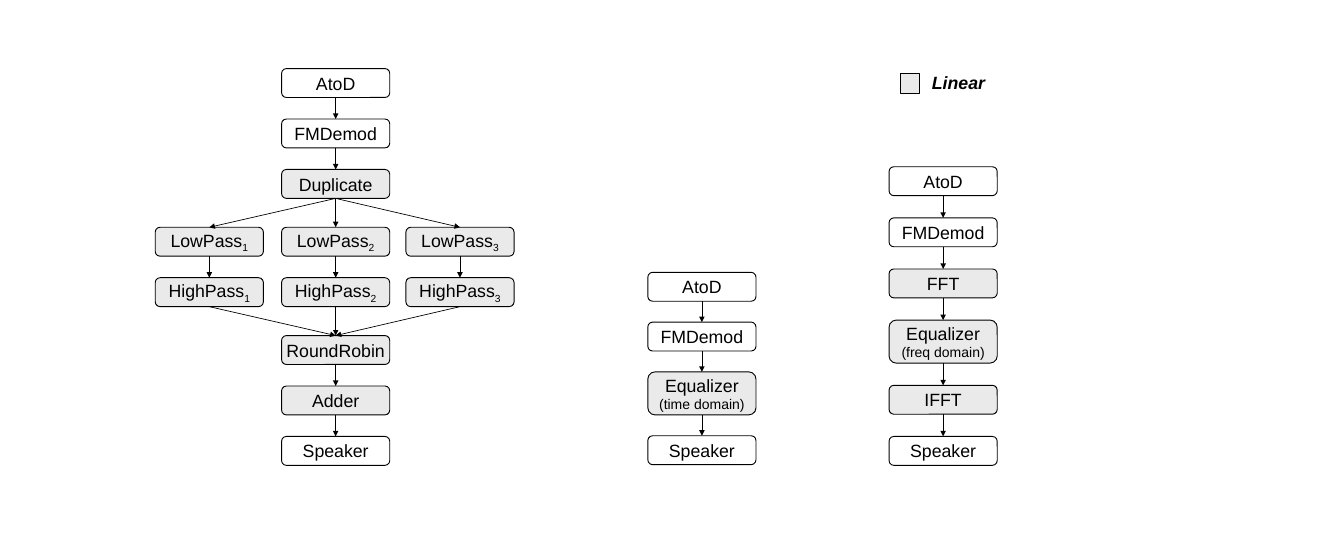
from dataclasses import dataclass
from itertools import pairwise

from lxml.etree import SubElement
from pptx import Presentation
from pptx.dml.color import RGBColor
from pptx.enum.shapes import MSO_CONNECTOR, MSO_SHAPE
from pptx.enum.text import MSO_ANCHOR, PP_ALIGN
from pptx.oxml.ns import qn
from pptx.shapes.autoshape import Shape
from pptx.shapes.base import BaseShape
from pptx.slide import Slide
from pptx.util import Emu, Pt

EMU_PER_PX = 9144  # 100 px to the inch
SLIDE_WIDTH, SLIDE_HEIGHT = 2000, 800
BOX_WIDTH, BOX_HEIGHT, TALL_BOX_HEIGHT = 161, 43, 64
TOP_SITE, BOTTOM_SITE = 0, 2


@dataclass(frozen=True)
class Theme:
    font: str = "Arial"
    ink: RGBColor = RGBColor(0x00, 0x00, 0x00)
    linear_fill: RGBColor = RGBColor(0xEA, 0xEA, 0xEA)
    label_size: int = 19
    note_size: int = 15
    outline: float = 1
    arrow: float = 0.75


@dataclass(frozen=True)
class Filter:
    label: str
    linear: bool = False
    subscript: str = ""
    note: str = ""

    @property
    def height(self) -> int:
        return TALL_BOX_HEIGHT if self.note else BOX_HEIGHT


@dataclass(frozen=True)
class Pipeline:
    left: int
    top: int
    gap: int
    filters: tuple[Filter, ...]


THEME = Theme()
ATOD, DEMODULATOR, SPEAKER = Filter("AtoD"), Filter("FMDemod"), Filter("Speaker")

CENTER_LEFT = 419
BRANCH_LEFTS = (231, CENTER_LEFT, 604)
FAN_GAP = 43
SPLIT = Pipeline(CENTER_LEFT, 102, 32, (ATOD, DEMODULATOR, Filter("Duplicate", True)))
BRANCHES = tuple(
    Pipeline(left, 338, 32, (Filter("LowPass", True, str(number)),
                             Filter("HighPass", True, str(number))))
    for number, left in enumerate(BRANCH_LEFTS, 1)
)
JOIN = Pipeline(CENTER_LEFT, 338 + 2 * BOX_HEIGHT + 32 + FAN_GAP, 32,
                (Filter("RoundRobin", True), Filter("Adder", True), SPEAKER))
TIME_DOMAIN = Pipeline(964, 405, 31, (
    ATOD, DEMODULATOR, Filter("Equalizer", True, note="(time domain)"), SPEAKER))
FREQUENCY_DOMAIN = Pipeline(1323, 248, 33, (
    ATOD, DEMODULATOR, Filter("FFT", True),
    Filter("Equalizer", True, note="(freq domain)"), Filter("IFFT", True), SPEAKER))


def px(length: int) -> Emu:
    return Emu(length * EMU_PER_PX)


def add_text(shape: Shape, text: str, *, size: int = THEME.label_size,
             subscript: str = "", emphasis: bool = False,
             align: PP_ALIGN = PP_ALIGN.CENTER, new_line: bool = False) -> None:
    """Write one line of text, with an optional subscript after it."""
    frame = shape.text_frame
    paragraph = frame.add_paragraph() if new_line else frame.paragraphs[0]
    paragraph.alignment = align
    for part, baseline in ((text, None), (subscript, "-25000")):
        if not part:
            continue
        run = paragraph.add_run()
        run.text = part
        run.font.name = THEME.font
        run.font.size = Pt(size)
        run.font.color.rgb = THEME.ink
        run.font.bold = run.font.italic = emphasis
        if baseline:
            run._r.get_or_add_rPr().set("baseline", baseline)


def add_box(slide: Slide, preset: MSO_SHAPE, left: int, top: int,
            width: int, height: int, linear: bool) -> Shape:
    box = slide.shapes.add_shape(preset, px(left), px(top), px(width), px(height))
    box.shadow.inherit = False
    if linear:
        box.fill.solid()
        box.fill.fore_color.rgb = THEME.linear_fill
    else:
        box.fill.background()
    box.line.color.rgb = THEME.ink
    box.line.width = Pt(THEME.outline)
    return box


def add_filter(slide: Slide, item: Filter, left: int, top: int) -> Shape:
    box = add_box(slide, MSO_SHAPE.ROUNDED_RECTANGLE, left, top,
                  BOX_WIDTH, item.height, item.linear)
    frame = box.text_frame
    frame.word_wrap = False
    frame.vertical_anchor = MSO_ANCHOR.MIDDLE
    frame.margin_left = frame.margin_right = px(11)
    frame.margin_top = frame.margin_bottom = px(5)
    add_text(box, item.label, subscript=item.subscript)
    if item.note:
        add_text(box, item.note, size=THEME.note_size, new_line=True)
    return box


def add_arrow(slide: Slide, source: BaseShape, target: BaseShape) -> None:
    arrow = slide.shapes.add_connector(MSO_CONNECTOR.STRAIGHT, 0, 0, 0, 0)
    arrow.begin_connect(source, BOTTOM_SITE)
    arrow.end_connect(target, TOP_SITE)
    arrow.line.color.rgb = THEME.ink
    arrow.line.width = Pt(THEME.arrow)
    SubElement(arrow.line._get_or_add_ln(), qn("a:tailEnd"), type="triangle")
    SubElement(arrow._element.spPr, qn("a:effectLst"))


def add_pipeline(slide: Slide, pipeline: Pipeline) -> list[Shape]:
    """Stack the filters, join them with arrows and return their boxes."""
    boxes = []
    top = pipeline.top
    for item in pipeline.filters:
        boxes.append(add_filter(slide, item, pipeline.left, top))
        top += item.height + pipeline.gap
    for source, target in pairwise(boxes):
        add_arrow(slide, source, target)
    return boxes


def add_split_join(slide: Slide) -> None:
    split = add_pipeline(slide, SPLIT)
    join = add_pipeline(slide, JOIN)
    for branch in BRANCHES:
        low_pass, high_pass = add_pipeline(slide, branch)
        add_arrow(slide, split[-1], low_pass)
        add_arrow(slide, high_pass, join[0])


def add_legend(slide: Slide) -> None:
    add_box(slide, MSO_SHAPE.RECTANGLE, 1340, 109, 29, 30, True)
    caption = slide.shapes.add_textbox(px(1377), px(102), px(100), px(42))
    caption.text_frame.word_wrap = False
    add_text(caption, "Linear", emphasis=True, align=PP_ALIGN.LEFT)


def main() -> None:
    presentation = Presentation()
    presentation.slide_width = px(SLIDE_WIDTH)
    presentation.slide_height = px(SLIDE_HEIGHT)
    slide = presentation.slides.add_slide(presentation.slide_layouts[6])
    add_split_join(slide)
    add_pipeline(slide, TIME_DOMAIN)
    add_pipeline(slide, FREQUENCY_DOMAIN)
    add_legend(slide)
    presentation.save("out.pptx")


if __name__ == "__main__":
    main()
